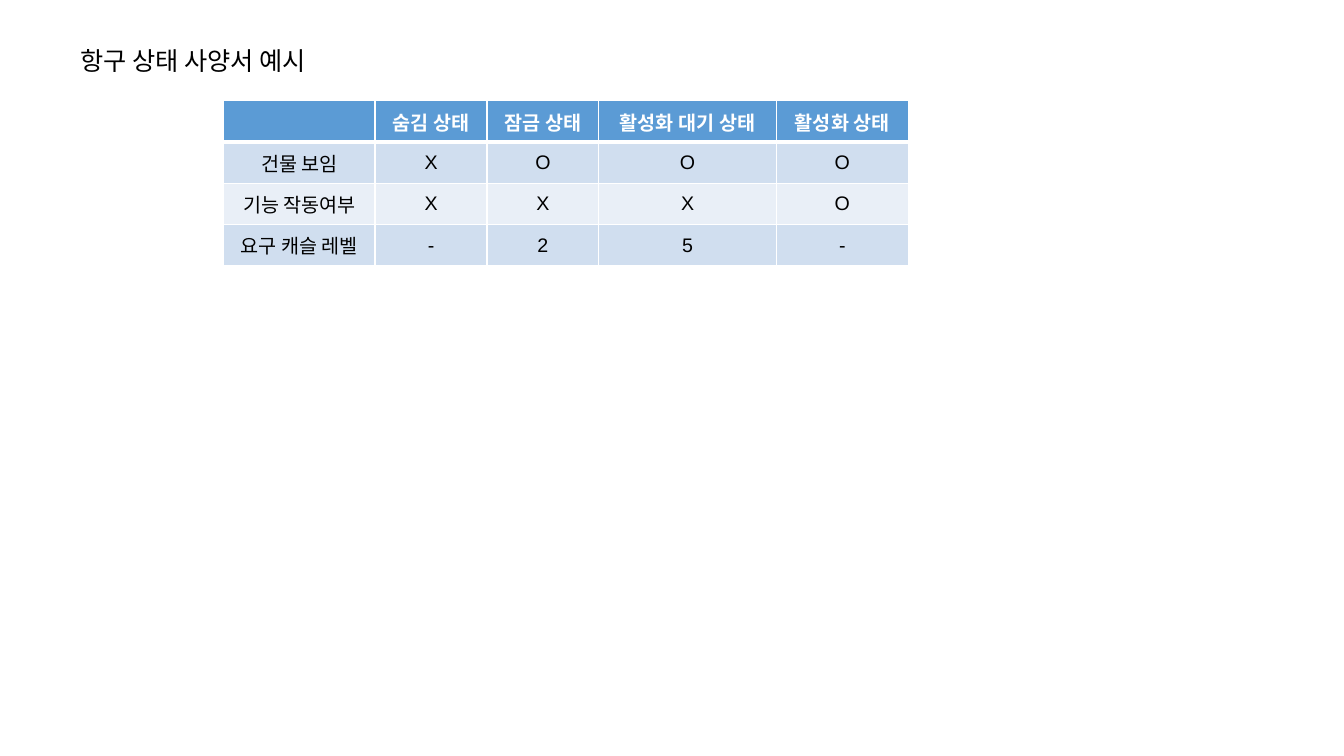
from dataclasses import dataclass
from typing import Any

from lxml import etree
from pptx import Presentation
from pptx import util as u
from pptx.dml.color import RGBColor
from pptx.enum import text
from pptx.oxml.ns import qn


@dataclass(frozen=True)
class Theme:
    font: str = "Arial"
    title_size: int = 18
    table_size: int = 14
    ink: str = "000000"
    paper: str = "FFFFFF"
    header: str = "5B9BD5"
    bands: tuple[str, str] = ("D0DEEF", "E9EFF7")
    thin: int = 1
    thick: int = 3


@dataclass(frozen=True)
class Row:
    label: str
    values: tuple[str, ...]


THEME = Theme()
COLUMN_WIDTHS = (1.5, 1.11, 1.11, 1.76, 1.31)
ROW_HEIGHT = 0.41
ROWS = (
    Row("", ("숨김 상태", "잠금 상태", "활성화 대기 상태", "활성화 상태")),
    Row("건물 보임", ("X", "O", "O", "O")),
    Row("기능 작동여부", ("X", "X", "X", "O")),
    Row("요구 캐슬 레벨", ("-", "2", "5", "-")),
)


def write(paragraph: Any, words: str, size: int, color: str, bold: bool = False) -> None:
    """Write one run of formatted text, if there are words."""
    if not words:
        return
    run = paragraph.add_run()
    run.text = words
    formats = {"name": THEME.font, "size": u.Pt(size), "bold": bold}
    for name, value in formats.items():
        setattr(run.font, name, value)
    run.font.color.rgb = RGBColor.from_string(color)


def set_borders(cell: Any, top: int, bottom: int) -> None:
    """Draw the four cell borders; sides are always thin."""
    properties = cell._tc.get_or_add_tcPr()
    widths = {"a:lnL": THEME.thin, "a:lnR": THEME.thin, "a:lnT": top, "a:lnB": bottom}
    for position, (tag, width) in enumerate(widths.items()):
        line = etree.Element(qn(tag), w=str(u.Pt(width)))
        fill = etree.SubElement(line, qn("a:solidFill"))
        etree.SubElement(fill, qn("a:srgbClr"), val=THEME.paper)
        properties.insert(position, line)


def add_title(slide: Any, words: str) -> None:
    shape = slide.shapes.add_textbox(
        u.Inches(0.7), u.Inches(0.4), u.Inches(2.74), u.Inches(0.4)
    )
    shape.text_frame.word_wrap = True
    write(shape.text_frame.paragraphs[0], words, THEME.title_size, THEME.ink)


def add_state_table(slide: Any, rows: tuple[Row, ...]) -> None:
    table = slide.shapes.add_table(
        len(rows), len(COLUMN_WIDTHS), u.Inches(2.22), u.Inches(1),
        u.Inches(sum(COLUMN_WIDTHS)), u.Inches(ROW_HEIGHT * len(rows)),
    ).table
    for column, width in zip(table.columns, COLUMN_WIDTHS):
        column.width = u.Inches(width)

    for index, row in enumerate(rows):
        table.rows[index].height = u.Inches(ROW_HEIGHT)
        is_header = index == 0
        fill = THEME.header if is_header else THEME.bands[(index - 1) % 2]
        color = THEME.paper if is_header else THEME.ink
        # The line under the header belongs to both rows that share it
        top = THEME.thick if index == 1 else THEME.thin
        bottom = THEME.thick if is_header else THEME.thin
        for cell, words in zip(table.rows[index].cells, (row.label, *row.values)):
            cell.fill.solid()
            cell.fill.fore_color.rgb = RGBColor.from_string(fill)
            cell.vertical_anchor = text.MSO_ANCHOR.MIDDLE
            set_borders(cell, top, bottom)
            paragraph = cell.text_frame.paragraphs[0]
            paragraph.alignment = text.PP_ALIGN.CENTER
            write(paragraph, words, THEME.table_size, color, is_header)


def main() -> None:
    presentation = Presentation()
    presentation.slide_width = u.Inches(13.33)
    presentation.slide_height = u.Inches(7.5)
    slide = presentation.slides.add_slide(presentation.slide_layouts[6])

    # Heading
    add_title(slide, "항구 상태 사양서 예시")
    # Harbour states
    add_state_table(slide, ROWS)

    presentation.save("out.pptx")


if __name__ == "__main__":
    main()
